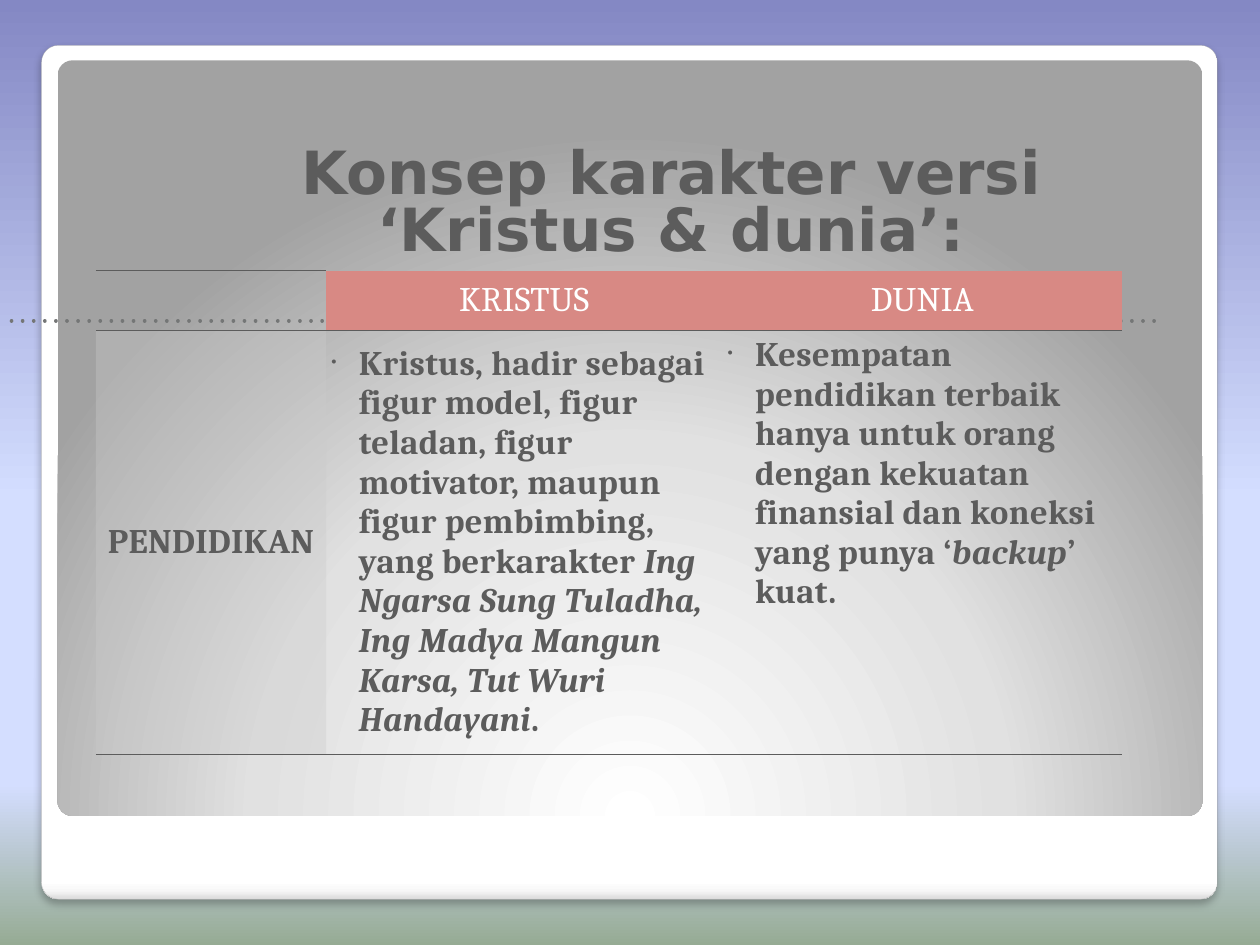
from dataclasses import dataclass

from lxml.etree import SubElement
from pptx import Presentation
from pptx.dml.color import RGBColor
from pptx.enum.shapes import MSO_CONNECTOR, MSO_SHAPE
from pptx.enum.text import MSO_ANCHOR as Anchor, PP_ALIGN as Align
from pptx.oxml.ns import qn
from pptx.util import Cm, Pt

WHITE = RGBColor(0xFF, 0xFF, 0xFF)
BLACK = RGBColor(0x00, 0x00, 0x00)
TEXT_GRAY = RGBColor(0x5C, 0x5C, 0x5C)
DOT_GRAY = RGBColor(0x74, 0x76, 0x76)
EDGE_GRAY = RGBColor(0xA4, 0xA4, 0xA4)
LABEL_GRAY = RGBColor(0xCB, 0xCB, 0xCB)
HEADER_RED = RGBColor(0xD8, 0x89, 0x84)
SKY_STOPS = (
    (0, RGBColor(0x84, 0x88, 0xC4)),
    (53, RGBColor(0xD4, 0xDE, 0xFF)),
    (83, RGBColor(0xD4, 0xDE, 0xFF)),
    (100, RGBColor(0x96, 0xAB, 0x94)),
)
FRAME_STOPS = (
    (0, WHITE),
    (98, WHITE),
    (99, RGBColor(0xF7, 0xF7, 0xF7)),
    (100, RGBColor(0xDA, 0xDA, 0xDA)),
)
PANEL_STOPS = (
    (0, WHITE),
    (55, RGBColor(0xE1, 0xE1, 0xE1)),
    (100, RGBColor(0xA2, 0xA2, 0xA2)),
)
BODY_FONT = "Cambria"
TITLE_FONT = "DejaVu Sans"


@dataclass(frozen=True)
class Piece:
    text: str
    italic: bool = False


@dataclass(frozen=True)
class CellSpec:
    pieces: tuple[Piece, ...] = ()
    fill: RGBColor | None = None
    opacity: int = 100
    color: RGBColor = TEXT_GRAY
    bold: bool = True
    bullet: bool = False
    anchor: Anchor = Anchor.MIDDLE
    borders: tuple[str, ...] = ("B",)


@dataclass(frozen=True)
class Plate:
    left: float
    top: float
    width: float
    height: float
    stops: tuple
    radial: bool = False
    raised: bool = False


PLATES = (
    Plate(1.19, 1.3, 33.71, 24.49, FRAME_STOPS, raised=True),
    Plate(1.65, 1.73, 32.82, 21.67, PANEL_STOPS, radial=True),
)
COLUMN_WIDTHS = (6.6, 11.36, 11.46)
ROW_HEIGHTS = (1.7, 11.64)


def header(text: str) -> CellSpec:
    return CellSpec((Piece(text),), HEADER_RED, color=WHITE, bold=False)


CELLS = (
    (CellSpec(borders=("T", "B")), header("KRISTUS"), header("DUNIA")),
    (
        CellSpec((Piece("PENDIDIKAN"),), LABEL_GRAY, 36, borders=("T", "B")),
        CellSpec((
            Piece("Kristus, hadir sebagai figur model, figur teladan, figur motivator, "
                  "maupun figur pembimbing, yang berkarakter "),
            Piece("Ing Ngarsa Sung Tuladha, Ing Madya Mangun Karsa, "
                  "Tut Wuri Handayani", True),
            Piece("."),
        ), bullet=True, borders=("T", "B")),
        CellSpec((
            Piece("Kesempatan pendidikan terbaik hanya untuk orang dengan kekuatan "
                  "finansial dan koneksi yang punya ‘"),
            Piece("backup", True),
            Piece("’ kuat."),
        ), bullet=True, anchor=Anchor.TOP, borders=("T", "B")),
    ),
)


def add_node(parent, tag: str, **attributes):
    return SubElement(parent, qn(tag), {name: str(value) for name, value in attributes.items()})


def add_color(parent, color: RGBColor, opacity: int = 100) -> None:
    node = add_node(parent, "a:srgbClr", val=color)
    if opacity < 100:
        add_node(node, "a:alpha", val=opacity * 1000)


def paint_gradient(fill, element, stops, radial: bool = False) -> None:
    fill.gradient()
    gradient = element.find(".//" + qn("a:gradFill"))
    for child in list(gradient):
        gradient.remove(child)
    stop_list = add_node(gradient, "a:gsLst")
    for position, color in stops:
        add_color(add_node(stop_list, "a:gs", pos=position * 1000), color)
    if radial:
        circle = add_node(gradient, "a:path", path="circle")
        add_node(circle, "a:fillToRect", l=50000, t=175000, r=50000, b=-75000)
    else:
        add_node(gradient, "a:lin", ang=5400000, scaled=0)


def add_plate(slide, plate: Plate) -> None:
    shape = slide.shapes.add_shape(
        MSO_SHAPE.ROUNDED_RECTANGLE,
        Cm(plate.left), Cm(plate.top), Cm(plate.width), Cm(plate.height))
    shape.adjustments[0] = 0.02
    paint_gradient(shape.fill, shape.element, plate.stops, plate.radial)
    shape.line.fill.background()
    shape.shadow.inherit = False
    if plate.raised:
        shape.line.color.rgb = EDGE_GRAY
        shape.line.width = Pt(0.16)
        effects = shape.element.spPr.find(qn("a:effectLst"))
        shadow = add_node(effects, "a:outerShdw", blurRad=Pt(6), dist=Pt(4),
                          dir=5400000, algn="tl", rotWithShape=0)
        add_color(shadow, BLACK, 25)


def add_dotted_line(slide) -> None:
    connector = slide.shapes.add_connector(
        MSO_CONNECTOR.STRAIGHT, Cm(0.33), Cm(9.2), Cm(33.27), Cm(9.2))
    connector.line.color.rgb = DOT_GRAY
    connector.line.width = Pt(3)
    line = connector.line._get_or_add_ln()
    line.set("cap", "rnd")
    add_node(add_node(line, "a:custDash"), "a:ds", d=100000, sp=200000)
    add_node(connector.element.spPr, "a:effectLst")


def add_run(paragraph, piece: Piece, font: str, size: float, color: RGBColor, bold: bool):
    run = paragraph.add_run()
    run.text = piece.text
    run.font.name = font
    run.font.size = Pt(size)
    run.font.bold = bold
    run.font.italic = piece.italic
    run.font.color.rgb = color
    return run


def add_title(slide) -> None:
    frame = slide.shapes.add_textbox(Cm(5.97), Cm(3.84), Cm(26.54), Cm(3.89)).text_frame
    frame.word_wrap = True
    frame.vertical_anchor = Anchor.BOTTOM
    frame.margin_left = frame.margin_right = Cm(0.36)
    frame.margin_top = frame.margin_bottom = Cm(0.18)
    paragraph = frame.paragraphs[0]
    paragraph.alignment = Align.CENTER
    paragraph.line_spacing = 0.8
    add_run(paragraph, Piece("Konsep karakter versi ‘Kristus & dunia’:"),
            TITLE_FONT, 48.4, TEXT_GRAY, True)


def fill_cell(cell, spec: CellSpec) -> None:
    cell.margin_left = cell.margin_right = cell.margin_top = cell.margin_bottom = Cm(0.15)
    cell.vertical_anchor = spec.anchor
    properties = cell._tc.get_or_add_tcPr()
    for side in "LRTB":
        border = add_node(properties, f"a:ln{side}", w=Pt(1))
        if side in spec.borders:
            add_color(add_node(border, "a:solidFill"), TEXT_GRAY)
        else:
            add_node(border, "a:noFill")
    if spec.fill is None:
        cell.fill.background()
    else:
        cell.fill.solid()
        cell.fill.fore_color.rgb = spec.fill
        if spec.opacity < 100:
            color = properties.find(qn("a:solidFill")).find(qn("a:srgbClr"))
            add_node(color, "a:alpha", val=spec.opacity * 1000)
    paragraph = cell.text_frame.paragraphs[0]
    paragraph.alignment = Align.LEFT if spec.bullet else Align.CENTER
    if spec.bullet:
        settings = paragraph._p.get_or_add_pPr()
        settings.set("marL", str(Cm(0.79)))
        settings.set("indent", str(-Cm(0.79)))
        add_node(settings, "a:buSzPct", val=45000)
        add_node(settings, "a:buChar", char="•")
    for piece in spec.pieces:
        run = add_run(paragraph, piece, BODY_FONT, 28, spec.color, spec.bold)
        run._r.get_or_add_rPr().set("spc", "30")


def add_concept_table(slide) -> None:
    table = slide.shapes.add_table(
        len(ROW_HEIGHTS), len(COLUMN_WIDTHS), Cm(2.75), Cm(7.77),
        Cm(sum(COLUMN_WIDTHS)), Cm(sum(ROW_HEIGHTS))).table
    table.first_row = table.horz_banding = False
    for column, width in zip(table.columns, COLUMN_WIDTHS):
        column.width = Cm(width)
    for row, height, specs in zip(table.rows, ROW_HEIGHTS, CELLS):
        row.height = Cm(height)
        for cell, spec in zip(row.cells, specs):
            fill_cell(cell, spec)


def main() -> None:
    presentation = Presentation()
    presentation.slide_width, presentation.slide_height = Cm(36.12), Cm(27.1)
    slide = presentation.slides.add_slide(presentation.slide_layouts[6])
    paint_gradient(slide.background.fill, slide.element, SKY_STOPS)
    for plate in PLATES:
        add_plate(slide, plate)
    add_dotted_line(slide)
    add_title(slide)
    add_concept_table(slide)
    presentation.save("out.pptx")


if __name__ == "__main__":
    main()
